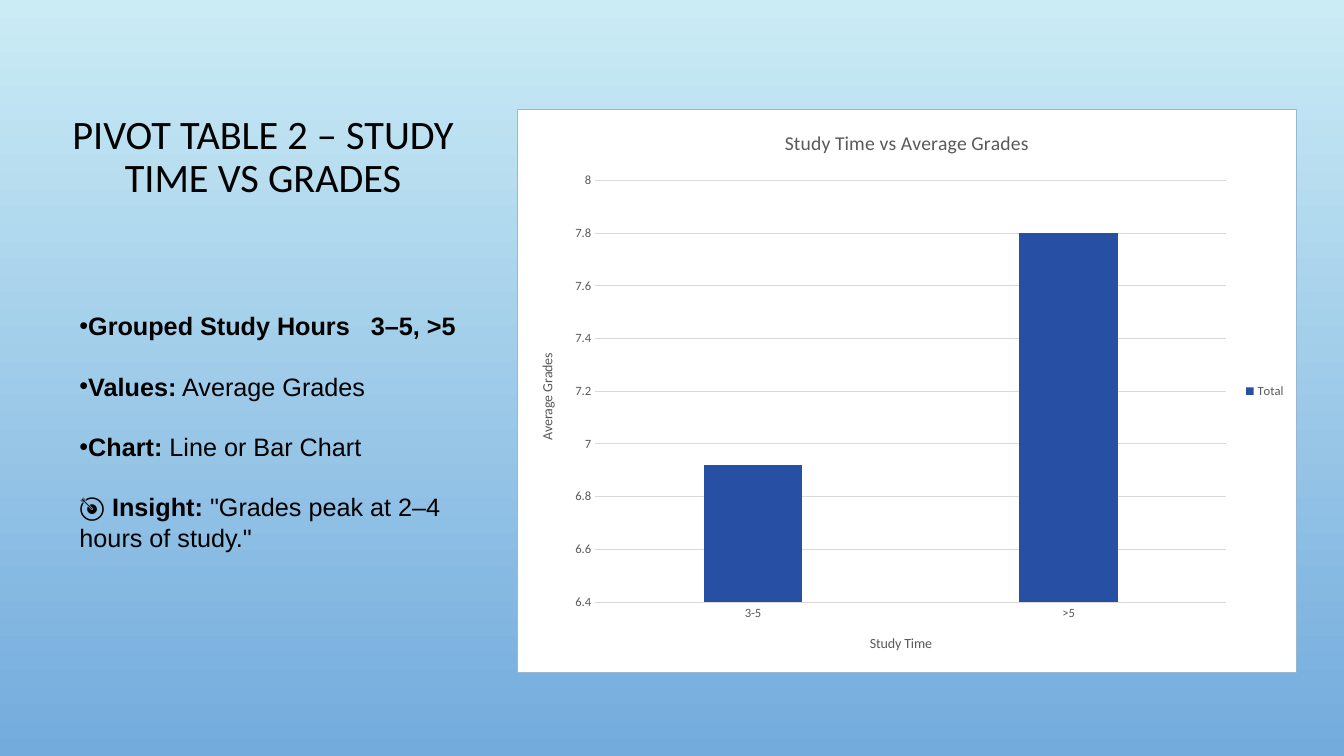
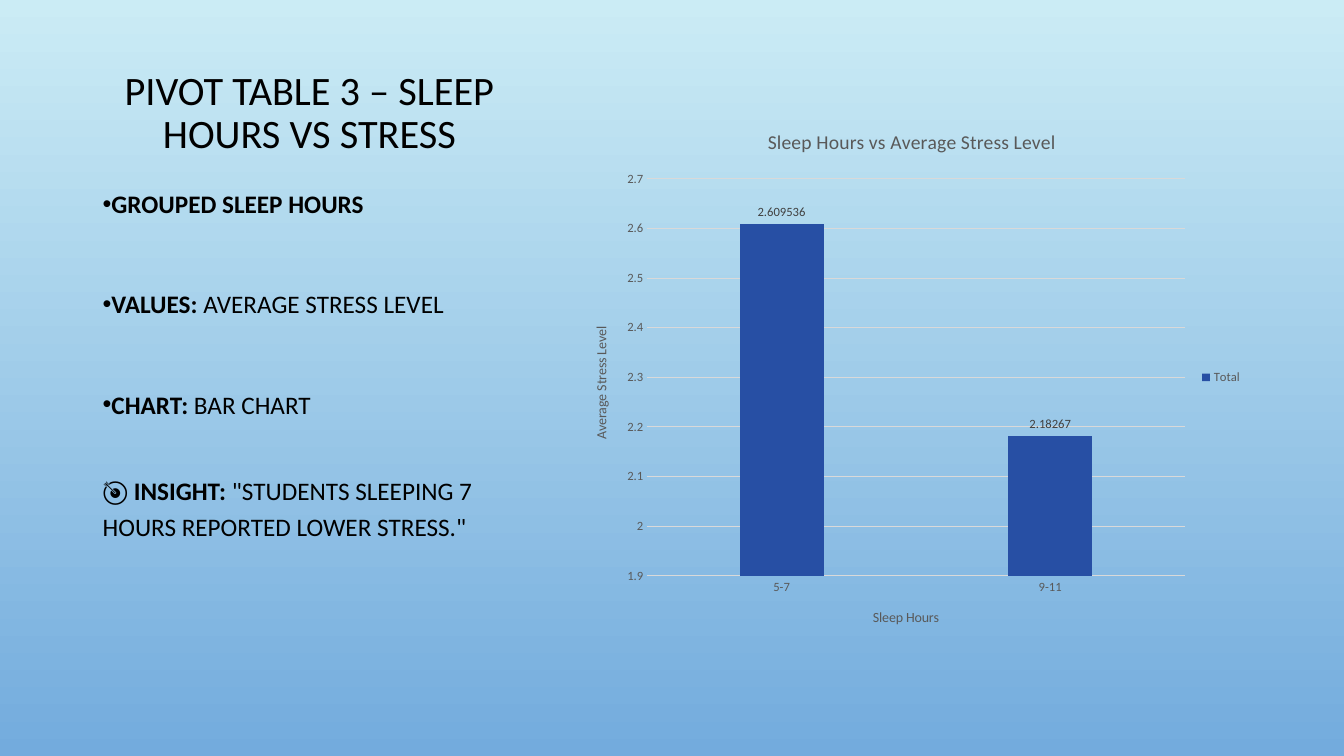
from lxml import etree
from pptx import Presentation
from pptx.chart.data import CategoryChartData
from pptx.dml.color import RGBColor
from pptx.enum.chart import XL_CHART_TYPE as ChartType
from pptx.enum.chart import XL_LABEL_POSITION as LabelPosition
from pptx.enum.chart import XL_LEGEND_POSITION as LegendPosition
from pptx.enum.chart import XL_TICK_MARK as TickMark
from pptx.enum.text import MSO_ANCHOR as Anchor
from pptx.enum.text import PP_ALIGN as Align
from pptx.oxml import parse_xml
from pptx.oxml.ns import nsdecls, qn
from pptx.util import Inches, Pt

COLORS = {
    "sky": "CBECF5",
    "horizon": "73ABDD",
    "ink": "000000",
    "bar": "274FA4",
    "grid": "D9D9D9",
    "chart_text": "595959",
    "value_text": "404040",
    "panel": "FFFFFF",
    "panel_edge": "98B7D3",
}


def rgb(color):
    return RGBColor.from_string(COLORS[color])


class PivotDeck:
    """Holds the shared style and the slide being filled."""

    def __init__(self):
        self.prs = Presentation()
        self.prs.slide_width, self.prs.slide_height = Inches(13.33), Inches(7.5)
        self.slide = None

    def new_slide(self):
        self.slide = self.prs.slides.add_slide(self.prs.slide_layouts[6])
        fill = self.slide.background.fill
        fill.gradient()
        fill.gradient_angle = 270
        for stop, color in zip(fill.gradient_stops, ("sky", "horizon")):
            stop.color.rgb = rgb(color)

    def style_font(self, font, size, color="chart_text", face="Calibri", bold=False):
        font.size, font.name, font.bold = Pt(size), face, bold
        font.color.rgb = rgb(color)

    def text_frame(self, box, anchor):
        frame = self.slide.shapes.add_textbox(*map(Inches, box)).text_frame
        frame.word_wrap = True
        frame.vertical_anchor = anchor
        return frame

    def title(self, text, box):
        heading = self.text_frame(box, Anchor.BOTTOM).paragraphs[0]
        heading.text = text
        heading.alignment = Align.CENTER
        heading.line_spacing = 0.9
        self.style_font(heading.runs[0].font, 28.8, "ink")

    def points(self, items, box, gaps, face, anchor=Anchor.TOP, spacing=1.0, tab=None):
        """Fill a box with (lead, label, detail) points, the label in bold.

        A lead of "•" becomes a real bullet; gaps are the points above each item.
        """
        frame = self.text_frame(box, anchor)
        for index, ((lead, label, detail), gap) in enumerate(zip(items, gaps)):
            point = frame.paragraphs[0] if index == 0 else frame.add_paragraph()
            point.line_spacing = spacing
            point.space_before = Pt(gap)
            pieces = [(label, True), (detail, False)]
            if lead == "•":
                props = point._p.get_or_add_pPr()
                etree.SubElement(props, qn("a:buFont"), typeface="Arial")
                etree.SubElement(props, qn("a:buChar"), char=lead)
                if "\t" in label:
                    stops = etree.SubElement(props, qn("a:tabLst"))
                    etree.SubElement(stops, qn("a:tab"), pos=str(Inches(tab)), algn="l")
            else:
                pieces.insert(0, (lead, False))
            for text, bold in pieces:
                if text:
                    run = point.add_run()
                    run.text = text
                    self.style_font(run.font, 18, "ink", face, bold)

    def chart_title(self, owner, text, size):
        """Title a chart or an axis."""
        owner.has_title = True
        heading = (owner.chart_title if hasattr(owner, "chart_title")
                   else owner.axis_title).text_frame
        heading.text = text
        self.style_font(heading.paragraphs[0].runs[0].font, size)

    def chart_panel(self, chart, framed):
        if framed:
            look = (f'<a:solidFill><a:srgbClr val="{COLORS["panel"]}"/></a:solidFill>'
                    f'<a:ln w="{Pt(0.75)}"><a:solidFill>'
                    f'<a:srgbClr val="{COLORS["panel_edge"]}"/></a:solidFill></a:ln>')
        else:
            look = "<a:noFill/><a:ln><a:noFill/></a:ln>"
        panel = parse_xml(f'<c:spPr {nsdecls("c", "a")}>{look}</c:spPr>')
        chart._chartSpace.chart.addnext(panel)

    def column_chart(self, box, title, axis_titles, averages, scale,
                     framed=False, labelled=False):
        """Draw averages by group; scale is (minimum, maximum, step)."""
        data = CategoryChartData()
        data.categories = list(averages)
        data.add_series("Total", list(averages.values()))
        chart = self.slide.shapes.add_chart(
            ChartType.COLUMN_CLUSTERED, *map(Inches, box), data).chart
        self.style_font(chart.font, 10, "ink")
        self.chart_panel(chart, framed)
        self.chart_title(chart, title, 14)

        groups, values = chart.category_axis, chart.value_axis
        for axis, axis_title in zip((groups, values), axis_titles):
            self.chart_title(axis, axis_title, 10)
            axis.major_tick_mark = axis.minor_tick_mark = TickMark.NONE
            self.style_font(axis.tick_labels.font, 9)
        values.minimum_scale, values.maximum_scale, values.major_unit = scale
        values.format.line.fill.background()
        for line in (groups.format.line, values.major_gridlines.format.line):
            line.color.rgb = rgb("grid")
            line.width = Pt(0.75)

        chart.has_legend = True
        chart.legend.position = LegendPosition.RIGHT
        chart.legend.include_in_layout = False
        self.style_font(chart.legend.font, 9)

        plot = chart.plots[0]
        plot.gap_width, plot.overlap = 219, -27
        plot.vary_by_categories = False
        bars = plot.series[0]
        bars.format.fill.solid()
        bars.format.fill.fore_color.rgb = rgb("bar")
        if labelled:
            labels = bars.data_labels
            labels.show_value = True
            labels.position = LabelPosition.OUTSIDE_END
            self.style_font(labels.font, 9, "value_text")


def study_time_slide(deck):
    deck.new_slide()
    deck.title("PIVOT TABLE 2 – STUDY TIME VS GRADES", (0.46, 0.98, 4.3, 1.07))
    deck.column_chart(
        (5.13, 1.08, 7.73, 5.6), "Study Time vs Average Grades",
        ("Study Time", "Average Grades"), {"3-5": 6.92, ">5": 7.8},
        (6.4, 8, 0.2), framed=True)
    deck.points(
        [("•", "Grouped Study Hours\t3–5, >5", ""),
         ("•", "Values:", " Average Grades"),
         ("•", "Chart:", " Line or Bar Chart"),
         ("🎯 ", "Insight:", ' "Grades peak at 2–4 hours of study."')],
        (0.69, 3.02, 4.3, 2.52), (0, 21.5, 21.5, 21.5), "Arial", Anchor.MIDDLE, tab=2.89)


def sleep_hours_slide(deck):
    deck.new_slide()
    deck.title("PIVOT TABLE 3 – SLEEP HOURS VS STRESS", (0.92, 0.5, 4.3, 1.11))
    deck.column_chart(
        (5.67, 1.08, 6.75, 5.33), "Sleep Hours vs Average Stress Level",
        ("Sleep Hours", "Average Stress Level"),
        {"5-7": 2.609536, "9-11": 2.18267},
        (1.9, 2.7, 0.1), labelled=True)
    deck.points(
        [("•", "GROUPED SLEEP HOURS", ""),
         ("•", "VALUES:", " AVERAGE STRESS LEVEL"),
         ("•", "CHART:", " BAR CHART"),
         ("🎯 ", "INSIGHT:", ' "STUDENTS SLEEPING 7 HOURS REPORTED LOWER STRESS."')],
        (0.92, 1.76, 4.3, 4.66), (0, 45.7, 45.7, 35.7), "Calibri", spacing=1.2)


def main():
    deck = PivotDeck()
    study_time_slide(deck)
    sleep_hours_slide(deck)
    deck.prs.save("out.pptx")


if __name__ == "__main__":
    main()
